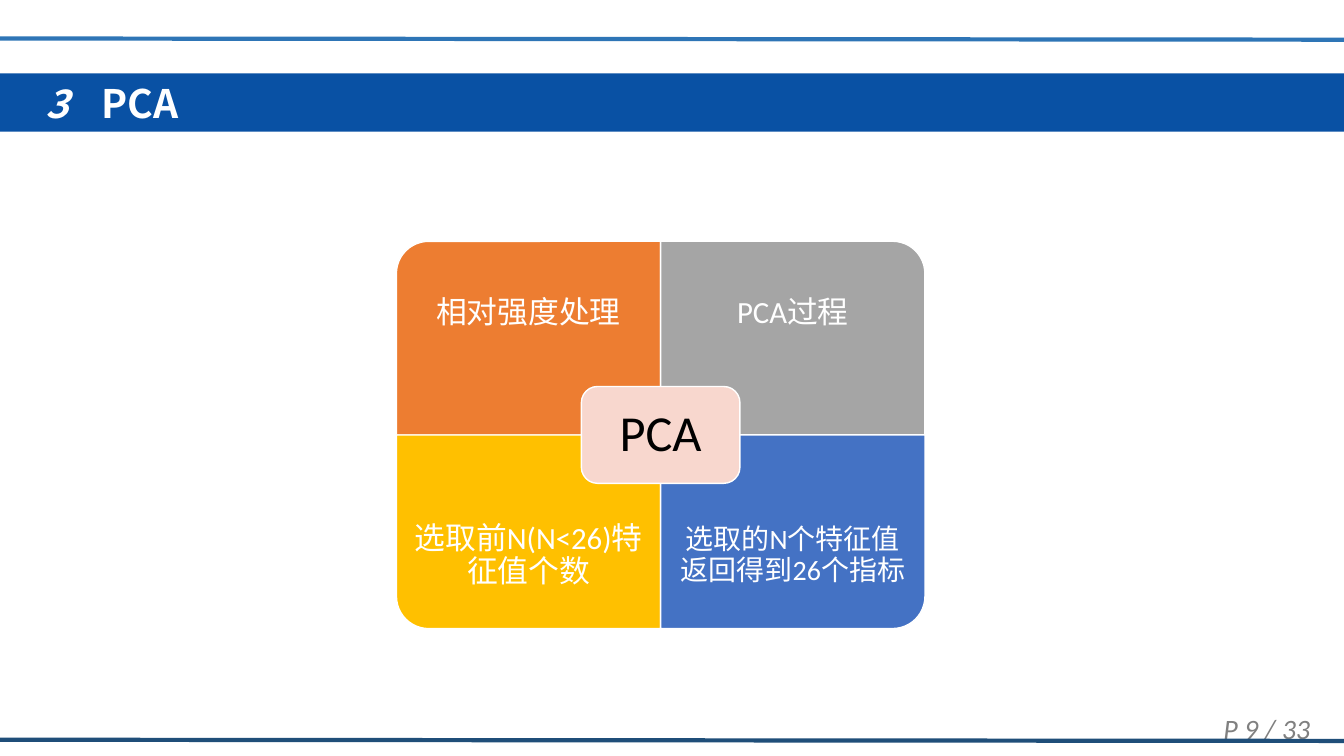
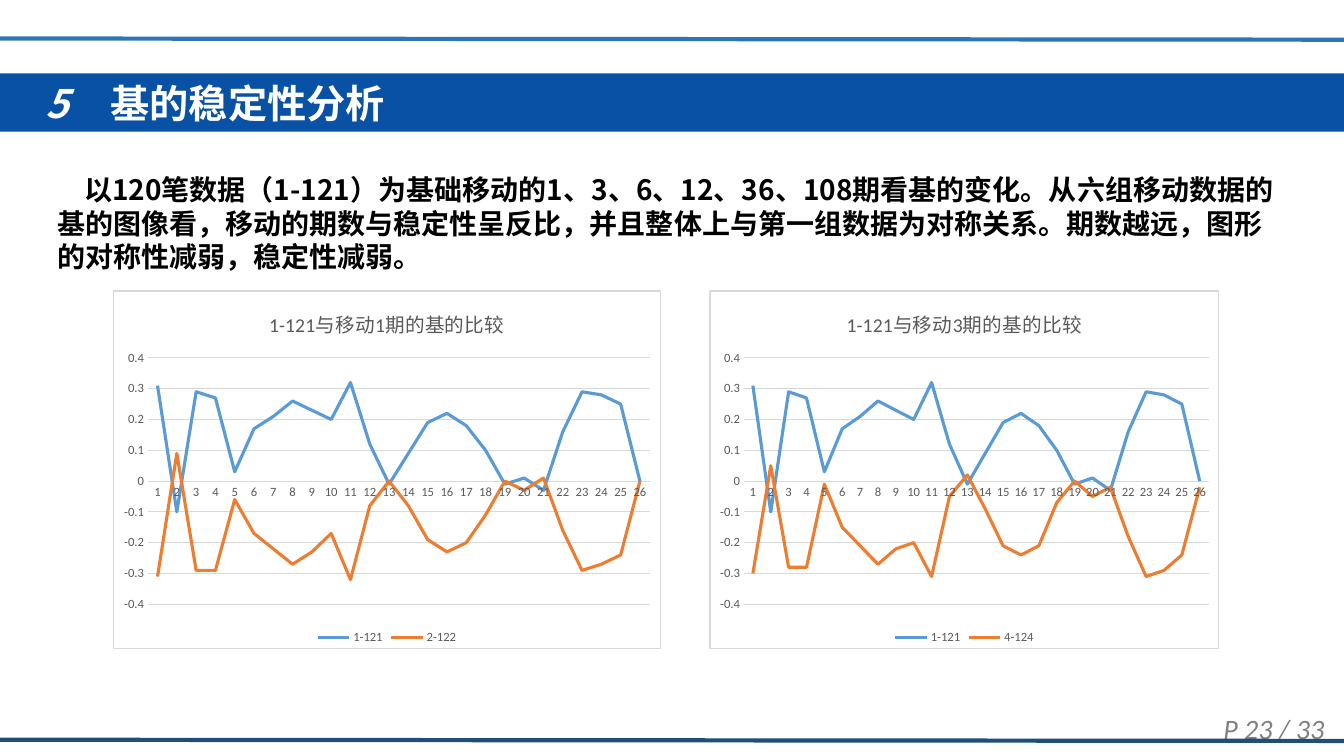
from lxml.etree import SubElement
from pptx import Presentation
from pptx.chart.data import CategoryChartData
from pptx.dml.color import RGBColor
from pptx.enum.chart import XL_CHART_TYPE, XL_LEGEND_POSITION, XL_TICK_MARK
from pptx.enum.shapes import MSO_CONNECTOR, MSO_SHAPE
from pptx.enum.text import MSO_ANCHOR, MSO_AUTO_SIZE, PP_ALIGN
from pptx.oxml import parse_xml
from pptx.oxml.ns import nsdecls, qn
from pptx.util import Cm, Pt

# Content
PAGES = 33
PCA = {"number": "3", "title": "PCA", "page": 9, "tab": 1.42}
STABILITY = {"number": "5", "title": "基的稳定性分析", "page": 23, "tab": 1.65}

HUB = "PCA"
# text, fill, text size, column, row, rotation
QUADRANTS = [
    ("相对强度处理", "orange", 22, 0, 0, 270),
    ("PCA过程", "gray", 22, 1, 0, 0),
    ("选取前N(N<26)特征值个数", "gold", 22, 0, 1, 180),
    ("选取的N个特征值返回得到26个指标", "blue", 20, 1, 1, 90),
]

SUMMARY = ("以120笔数据（1-121）为基础移动的1、3、6、12、36、108期看基的变化。"
           "从六组移动数据的基的图像看，移动的期数与稳定性呈反比，"
           "并且整体上与第一组数据为对称关系。期数越远，图形的对称性减弱，稳定性减弱。")

BASE = ("1-121", [0.31, -0.1, 0.29, 0.27, 0.03, 0.17, 0.21, 0.26, 0.23,
                  0.2, 0.32, 0.12, -0.01, 0.09, 0.19, 0.22, 0.18, 0.1,
                  -0.01, 0.01, -0.03, 0.16, 0.29, 0.28, 0.25, 0])
# title, left, width, moved series
CHARTS = [
    ("1-121与移动1期的基的比较", 2.84, 13.82,
     ("2-122", [-0.31, 0.09, -0.29, -0.29, -0.06, -0.17, -0.22, -0.27, -0.23,
                -0.17, -0.32, -0.08, 0, -0.08, -0.19, -0.23, -0.2, -0.11,
                0, -0.03, 0.01, -0.16, -0.29, -0.27, -0.24, 0])),
    ("1-121与移动3期的基的比较", 17.88, 12.85,
     ("4-124", [-0.3, 0.05, -0.28, -0.28, -0.01, -0.15, -0.21, -0.27, -0.22,
                -0.2, -0.31, -0.05, 0.02, -0.09, -0.21, -0.24, -0.21, -0.07,
                0, -0.05, -0.02, -0.18, -0.31, -0.29, -0.24, -0.02])),
]

# Shared style
COLORS = {
    "band": "0951A4", "top": "2E75B6", "bottom": "1F4E79", "page": "808080",
    "white": "FFFFFF", "black": "000000", "text": "595959", "grid": "D9D9D9",
    "orange": "ED7D31", "gray": "A5A5A5", "gold": "FFC000", "blue": "4472C4",
    "hub": "F8D7CE", "base": "5B9BD5", "moved": "ED7D31",
}
LATIN, CJK = "Calibri", "Noto Sans CJK SC"
WIDTH, HEIGHT = 33.87, 19.05


def rgb(name):
    return RGBColor.from_string(COLORS[name])


def write(tf, text, size, color="black", font=LATIN, bold=False, italic=False,
          align=PP_ALIGN.LEFT, spacing=1.0):
    """Add a run to the first paragraph of a text frame."""
    p = tf.paragraphs[0]
    p.alignment, p.line_spacing = align, spacing
    r = p.add_run()
    r.text = text
    f = r.font
    f.size, f.bold, f.italic, f.name = Pt(size), bold, italic, font
    f.color.rgb = rgb(color)
    SubElement(r._r.get_or_add_rPr(), qn("a:ea")).set("typeface", CJK)
    return p


def add_text(s, box, text, size, inset=None, wrap=True,
             anchor=MSO_ANCHOR.TOP, **fmt):
    tf = s.shapes.add_textbox(*map(Cm, box)).text_frame
    tf.word_wrap, tf.vertical_anchor = wrap, anchor
    if inset is not None:
        tf.margin_left = tf.margin_right = Cm(inset)
        tf.margin_top = tf.margin_bottom = Cm(inset)
    return write(tf, text, size, **fmt)


def add_tile(s, kind, box, fill):
    tile = s.shapes.add_shape(kind, *map(Cm, box))
    tile.shadow.inherit = False
    tile.fill.solid()
    tile.fill.fore_color.rgb = rgb(fill)
    tile.line.color.rgb, tile.line.width = rgb("white"), Pt(1)
    return tile


def add_rule(s, y, color):
    rule = s.shapes.add_connector(MSO_CONNECTOR.STRAIGHT, 0, Cm(y),
                                  Cm(WIDTH), Cm(y + 0.03))
    rule.line.color.rgb, rule.line.width = rgb(color), Pt(3)
    SubElement(rule._element.spPr, qn("a:effectLst"))


def add_slide(prs, number, title, page, tab):
    """Slide with page number, rules and a title band."""
    s = prs.slides.add_slide(prs.slide_layouts[5])
    add_text(s, (30.58, 17.81, 3.29, 1.12), f"P {page} / {PAGES}", 20,
             color="page", italic=True, wrap=False)
    add_rule(s, 0.97, "top")
    add_rule(s, 18.64, "bottom")

    band = s.shapes.title
    band.left, band.top, band.width, band.height = map(
        Cm, (0, 1.85, WIDTH, 1.47))
    band.fill.solid()
    band.fill.fore_color.rgb = rgb("band")
    tf = band.text_frame
    tf.auto_size, tf.vertical_anchor = MSO_AUTO_SIZE.NONE, MSO_ANCHOR.MIDDLE
    tf.margin_left, tf.margin_top, tf.margin_bottom = Cm(1.14), 0, 0
    look = {"size": 28, "color": "white", "font": CJK, "bold": True}
    write(tf, number + "\t", italic=True, **look)
    p = write(tf, title, **look)
    stops = SubElement(p._p.get_or_add_pPr(), qn("a:tabLst"))
    SubElement(stops, qn("a:tab"), pos=str(Cm(tab)), algn="l")
    return s


def style_font(font, size):
    font.name, font.size, font.bold = LATIN, Pt(size), False
    font.color.rgb = rgb("text")


def add_line_chart(s, title, left, width, moved):
    data = CategoryChartData()
    data.categories = [str(i + 1) for i in range(len(BASE[1]))]
    for name, values in (BASE, moved):
        data.add_series(name, values)
    chart = s.shapes.add_chart(XL_CHART_TYPE.LINE, Cm(left), Cm(7.32),
                               Cm(width), Cm(9.04), data).chart
    style_font(chart.font, 10)
    chart.has_title = True
    write(chart.chart_title.text_frame, title, 14, color="text",
          align=PP_ALIGN.CENTER)
    chart.has_legend = True
    chart.legend.position = XL_LEGEND_POSITION.BOTTOM
    chart.legend.include_in_layout = False
    style_font(chart.legend.font, 9)

    plot = chart.plots[0]
    plot.vary_by_categories = False
    for series, color in zip(plot.series, ("base", "moved")):
        series.smooth = False
        series.format.line.color.rgb = rgb(color)
        series.format.line.width = Pt(2.25)

    cat, val = chart.category_axis, chart.value_axis
    for axis in (cat, val):
        axis.major_tick_mark = axis.minor_tick_mark = XL_TICK_MARK.NONE
        style_font(axis.tick_labels.font, 9)
    val.minimum_scale, val.maximum_scale, val.major_unit = -0.4, 0.4, 0.1
    val.format.line.fill.background()
    for line in (cat.format.line, val.major_gridlines.format.line):
        line.color.rgb, line.width = rgb("grid"), Pt(0.75)

    # Chart area fill and border
    frame = parse_xml(
        f'<c:spPr {nsdecls("c", "a")}>'
        f'<a:solidFill><a:srgbClr val="{COLORS["white"]}"/></a:solidFill>'
        f'<a:ln w="{Pt(0.75)}"><a:solidFill>'
        f'<a:srgbClr val="{COLORS["grid"]}"/></a:solidFill></a:ln></c:spPr>')
    chart._chartSpace.find(qn("c:chart")).addnext(frame)


def build_pca(prs):
    s = add_slide(prs, **PCA)
    w, h, mid_x, mid_y = 6.66, 4.88, 16.65, 10.96
    centred = {"align": PP_ALIGN.CENTER, "spacing": 0.9}
    for text, fill, size, col, row, turn in QUADRANTS:
        x, y = mid_x + (col - 1) * w, mid_y + (row - 1) * h
        # A quarter turn swaps the sides around the same centre
        tw, th = (h, w) if turn % 180 else (w, h)
        tile = add_tile(s, MSO_SHAPE.ROUND_1_RECTANGLE,
                        (x + (w - tw) / 2, y + (h - th) / 2, tw, th), fill)
        tile.rotation = turn
        add_text(s, (x, y + row * h / 4, w, h * 3 / 4), text, size,
                 color="white", inset=0.02 * size, anchor=MSO_ANCHOR.MIDDLE,
                 **centred)
    hub_w, hub_h = w * 0.6, h * 0.5
    hub = add_tile(s, MSO_SHAPE.ROUNDED_RECTANGLE,
                   (mid_x - hub_w / 2, mid_y - hub_h / 2, hub_w, hub_h), "hub")
    hub.text_frame.vertical_anchor = MSO_ANCHOR.MIDDLE
    write(hub.text_frame, HUB, 36, **centred)


def build_stability(prs):
    s = add_slide(prs, **STABILITY)
    p = add_text(s, (1.19, 4.22, 31.47, 2.82), SUMMARY, 20, font=CJK, bold=True)
    p._p.get_or_add_pPr().set("indent", str(Cm(0.68)))
    for chart in CHARTS:
        add_line_chart(s, *chart)


def main():
    prs = Presentation()
    prs.slide_width, prs.slide_height = Cm(WIDTH), Cm(HEIGHT)
    build_pca(prs)
    build_stability(prs)
    prs.save("out.pptx")


if __name__ == "__main__":
    main()
